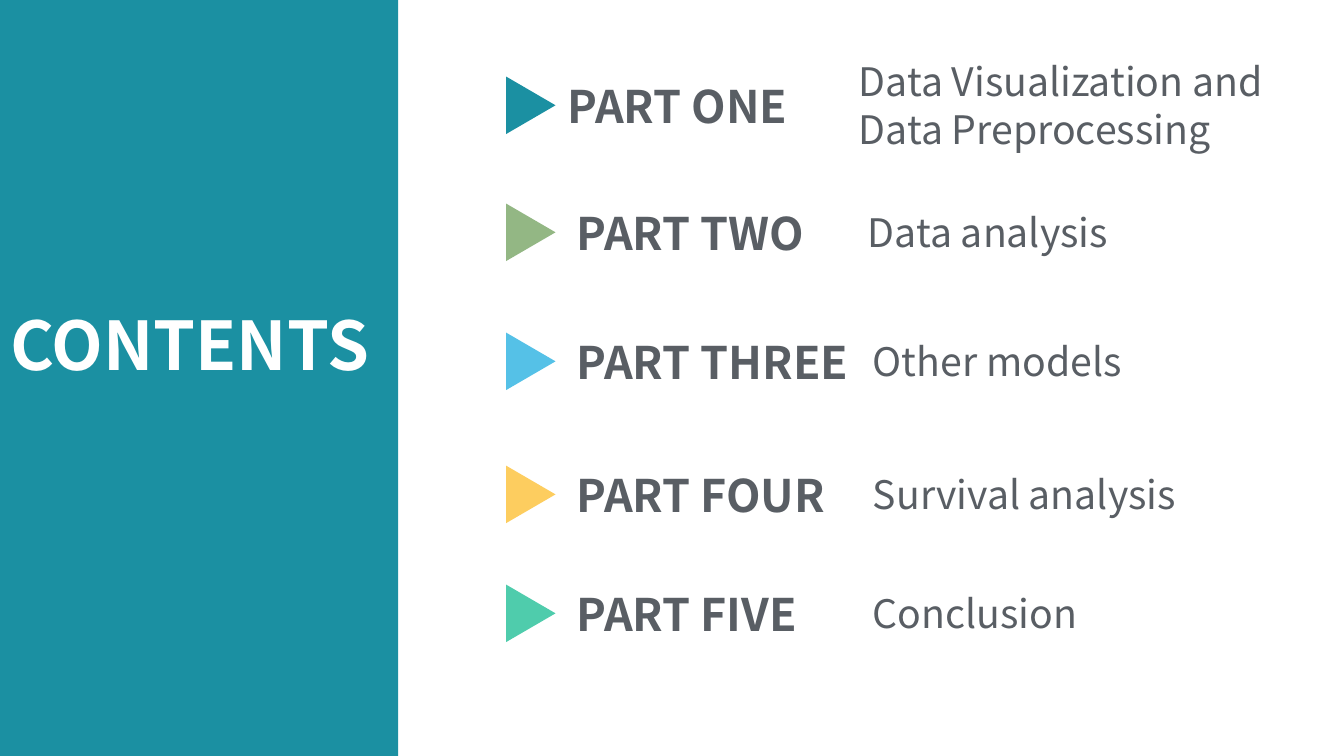
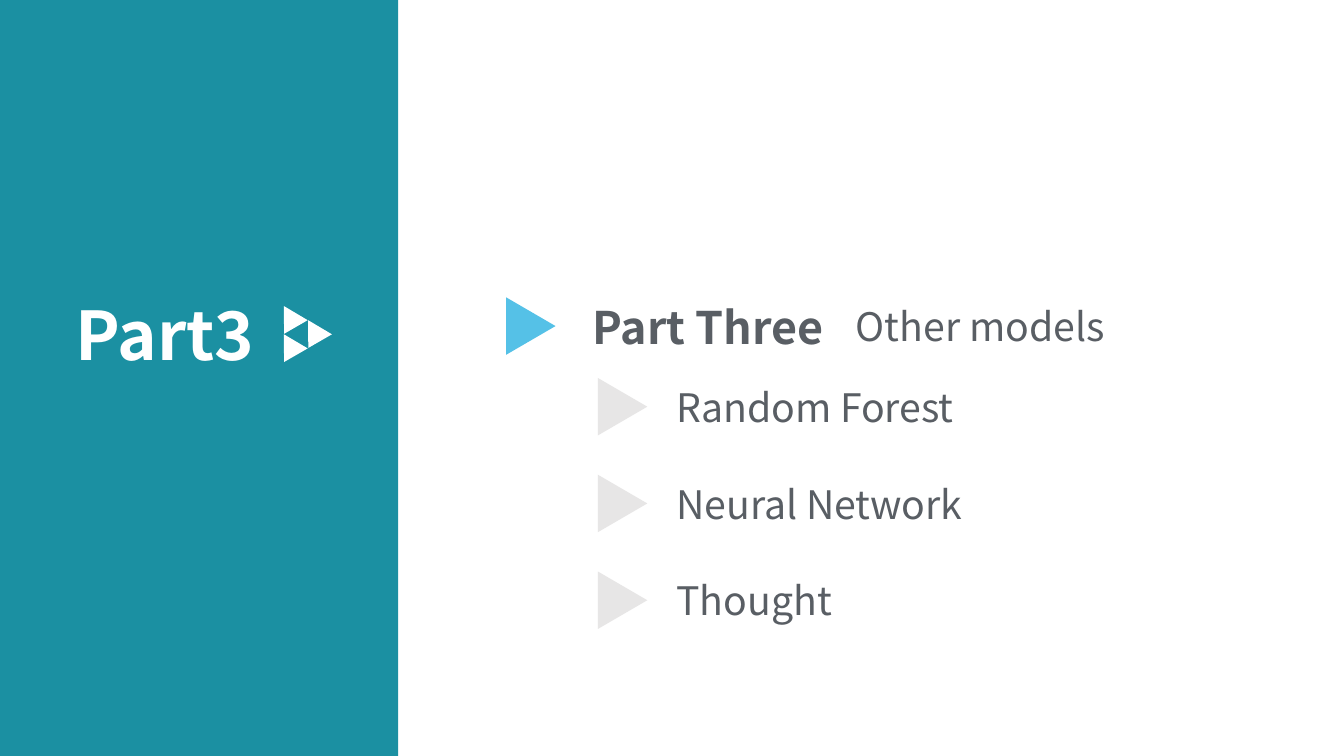
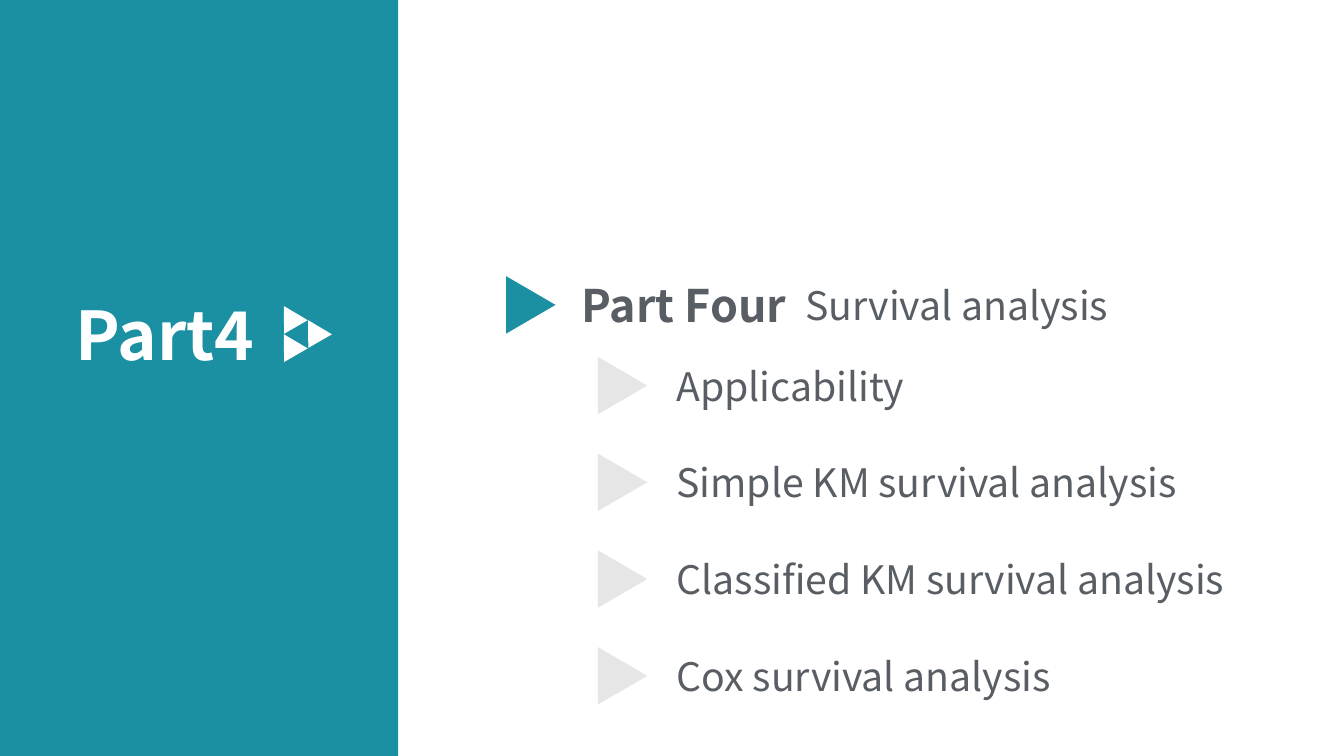
import pptx
import pptx.dml.color
import pptx.enum.shapes
import pptx.enum.text
import pptx.oxml
import pptx.oxml.ns
import pptx.util
from pptx.util import Inches

RGBColor = pptx.dml.color.RGBColor
ANCHOR = pptx.enum.text.MSO_ANCHOR
SHAPE = pptx.enum.shapes.MSO_SHAPE

TEAL = RGBColor(0x1B, 0x90, 0xA2)
GREEN = RGBColor(0x93, 0xB7, 0x84)
BLUE = RGBColor(0x55, 0xC1, 0xE7)
YELLOW = RGBColor(0xFD, 0xCD, 0x5F)
MINT = RGBColor(0x4F, 0xCC, 0xAC)
LIGHT = RGBColor(0xE7, 0xE6, 0xE6)
GREY = RGBColor(0x59, 0x5E, 0x64)
WHITE = RGBColor(0xFF, 0xFF, 0xFF)
FONT = "Noto Sans CJK SC"
LINE_HEIGHT = 1.2  # of the font size

# label, colour, label top, label indent, detail, detail left
PARTS = [
    ("PART ONE", TEAL, 0.73, 0, "Data Visualization and Data Preprocessing", 8.42),
    ("PART TWO", GREEN, 1.99, 0.09, "Data analysis", 8.51),
    ("PART THREE", BLUE, 3.27, 0.09, "Other models", 8.56),
    ("PART FOUR", YELLOW, 4.59, 0.09, "Survival analysis", 8.56),
    ("PART FIVE", MINT, 5.77, 0.09, "Conclusion", 8.56),
]


def place(shape, box):
    shape.left, shape.top, shape.width, shape.height = map(Inches, box)


def write(frame, text, size=28, color=GREY, bold=False, anchor=ANCHOR.TOP, first=True):
    """Write one left-aligned paragraph and return it."""
    frame.word_wrap = True
    frame.auto_size = pptx.enum.text.MSO_AUTO_SIZE.NONE
    frame.vertical_anchor = anchor
    para = frame.paragraphs[0] if first else frame.add_paragraph()
    para.alignment = pptx.enum.text.PP_ALIGN.LEFT
    span = para.add_run()
    span.text = text
    span.font.name = FONT
    span.font.size = pptx.util.Pt(size)
    span.font.bold = bold
    span.font.color.rgb = color
    return para


def add_text(page, box, text, **style):
    write(page.shapes.add_textbox(*map(Inches, box)).text_frame, text, **style)


def add_solid(page, kind, box, color, rotation=0):
    shape = page.shapes.add_shape(kind, *map(Inches, box))
    shape.rotation = rotation
    shape.shadow.inherit = False
    shape.fill.solid()
    shape.fill.fore_color.rgb = color
    shape.line.fill.background()
    return shape


def add_marker(page, left, top, color):
    add_solid(page, SHAPE.ISOSCELES_TRIANGLE, (left, top, 0.57, 0.49), color, 90)


def fill_list(page, box, lines, tops, indents, size=28, bold=False):
    """Fill the body placeholder with unbulleted lines at the given tops."""
    body = page.placeholders[1]
    place(body, box)
    for index, (text, indent) in enumerate(zip(lines, indents)):
        para = write(body.text_frame, text, size=size, bold=bold, first=index == 0)
        pitch = (tops[index] - tops[index - 1]) * 72 if index else 0
        para.space_before = pptx.util.Pt(round(max(0, pitch - size * LINE_HEIGHT), 1))
        settings = para._p.get_or_add_pPr()
        settings.set("marL", str(Inches(indent)))
        settings.set("indent", "0")
        settings.append(pptx.oxml.parse_xml(
            "<a:buNone %s/>" % pptx.oxml.ns.nsdecls("a")))


def prepare_layout(deck):
    """Put the side band and the title position on the shared layout."""
    layout = deck.slide_layouts[1]
    place(layout.placeholders[0], (0.65, 2.86, 2.19, 0.91))
    return layout


def add_page(deck, layout, title):
    page = deck.slides.add_slide(layout)
    if len(deck.slides) == 1:
        band = add_solid(page, SHAPE.RECTANGLE, (0, 0, 3.95, 7.5), TEAL)
        layout.shapes.element.insert(2, band.element)
    write(page.shapes.title.text_frame, title, size=48, color=WHITE, bold=True)
    return page


def add_contents(deck, layout):
    page = add_page(deck, layout, "CONTENTS")
    place(page.shapes.title, (0, 2.96, 4.5, 0.91))
    labels, colors, tops, indents, details, lefts = zip(*PARTS)
    fill_list(page, (5.53, tops[0], 3.2, 5.7), labels, tops, indents, size=32, bold=True)
    for color, top, detail, left in zip(colors, tops, details, lefts):
        add_marker(page, 4.98, top + 0.07, color)
        add_text(page, (left, top - 0.21, 4.65, 1.04), detail, anchor=ANCHOR.MIDDLE)


def add_emblem(page, left, top):
    """Three small triangles that form a larger one."""
    for across, down in ((0, 0), (0, 0.28), (0.24, 0.14)):
        box = (left + across, top + down, 0.27, 0.24)
        add_solid(page, SHAPE.ISOSCELES_TRIANGLE, box, WHITE, 330)


def add_section(deck, layout, title, color, top, heading, subtitle, items):
    """heading and subtitle are (text, left) pairs."""
    page = add_page(deck, layout, title)
    add_emblem(page, 2.74, 3.02)

    # Heading row
    add_marker(page, 4.98, top + 0.07, color)
    add_text(page, (heading[1], top, 2.6, 0.64), heading[0], size=32, bold=True)
    add_text(page, (subtitle[1], top + 0.03, 4, 0.57), subtitle[0])

    # Topics
    tops = [top + 0.83 + 0.96 * index for index in range(len(items))]
    fill_list(page, (6.61, tops[0], 6.3, 0.96 * len(items)), items, tops, [0] * len(items))
    for item_top in tops:
        add_marker(page, 5.89, item_top + 0.04, LIGHT)


def main():
    deck = pptx.Presentation()
    deck.slide_width, deck.slide_height = Inches(13.33), Inches(7.5)
    layout = prepare_layout(deck)
    add_contents(deck, layout)
    add_section(deck, layout, "Part3", BLUE, 2.92,
                ("Part Three", 5.78), ("Other models", 8.39),
                ["Random Forest", "Neural Network", "Thought"])
    add_section(deck, layout, "Part4", TEAL, 2.71,
                ("Part Four", 5.67), ("Survival analysis", 7.89),
                ["Applicability", "Simple KM survival analysis",
                 "Classified KM survival analysis", "Cox survival analysis"])
    deck.save("out.pptx")


if __name__ == "__main__":
    main()
